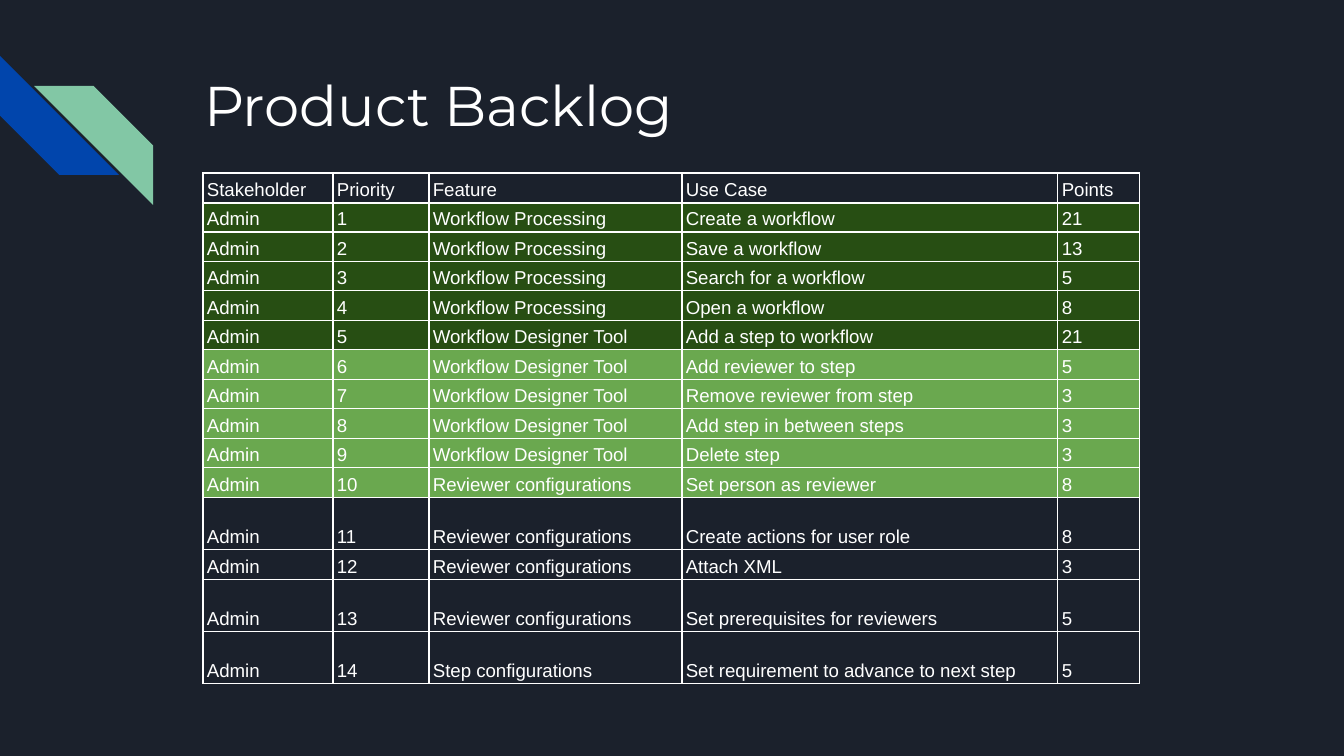
import pptx
import pptx.dml.color
import pptx.enum.shapes
import pptx.enum.text
import pptx.oxml
import pptx.oxml.ns
import pptx.util

PX = 914400 / 134.4

BACKGROUND, WHITE = "1B212C", "FFFFFF"
BLUE, MINT = "0145AC", "82C7A5"
DARK_GREEN, LIGHT_GREEN = "274E13", "6AA84F"

HEADINGS = ("Stakeholder", "Priority", "Feature", "Use Case", "Points")
PROCESSING = "Workflow Processing"
DESIGNER = "Workflow Designer Tool"
REVIEWER = "Reviewer configurations"
STEP = "Step configurations"

# Feature, use case, points, row fill; the order gives the priority.
BACKLOG = [
    (PROCESSING, "Create a workflow", 21, DARK_GREEN),
    (PROCESSING, "Save a workflow", 13, DARK_GREEN),
    (PROCESSING, "Search for a workflow", 5, DARK_GREEN),
    (PROCESSING, "Open a workflow", 8, DARK_GREEN),
    (DESIGNER, "Add a step to workflow", 21, DARK_GREEN),
    (DESIGNER, "Add reviewer to step", 5, LIGHT_GREEN),
    (DESIGNER, "Remove reviewer from step", 3, LIGHT_GREEN),
    (DESIGNER, "Add step in between steps", 3, LIGHT_GREEN),
    (DESIGNER, "Delete step", 3, LIGHT_GREEN),
    (REVIEWER, "Set person as reviewer", 8, LIGHT_GREEN),
    (REVIEWER, "Create actions for user role", 8, None),
    (REVIEWER, "Attach XML", 3, None),
    (REVIEWER, "Set prerequisites for reviewers", 5, None),
    (STEP, "Set requirement to advance to next step", 5, None),
]
COLUMN_WIDTHS = (130, 96, 253, 376, 82)
TALL_ROWS = (11, 13, 14)


def px(length):
    return pptx.util.Emu(round(length * PX))


def color(hex_string):
    return pptx.dml.color.RGBColor.from_string(hex_string)


class SlideBuilder:
    heading_font = "Montserrat"
    body_font = "Arial"

    def __init__(self, slide):
        self.slide = slide
        slide.background.fill.solid()
        slide.background.fill.fore_color.rgb = color(BACKGROUND)

    def style(self, paragraph, font_name, size):
        paragraph.alignment = pptx.enum.text.PP_ALIGN.LEFT
        paragraph.font.name = font_name
        paragraph.font.size = pptx.util.Pt(size)
        paragraph.font.color.rgb = color(WHITE)

    def stripe(self, left, top, size, fill, rotation):
        shape = self.slide.shapes.add_shape(
            pptx.enum.shapes.MSO_SHAPE.DIAGONAL_STRIPE,
            px(left), px(top), px(size), px(size))
        shape.rotation = rotation
        shape.shadow.inherit = False
        shape.fill.solid()
        shape.fill.fore_color.rgb = color(fill)
        shape.line.fill.background()

    def title(self, text, left, top, width, height):
        shape = self.slide.shapes.title
        shape.left, shape.top = px(left), px(top)
        shape.width, shape.height = px(width), px(height)
        frame = shape.text_frame
        frame.text = text
        frame.word_wrap = True
        frame.auto_size = pptx.enum.text.MSO_AUTO_SIZE.NONE
        frame.vertical_anchor = pptx.enum.text.MSO_ANCHOR.TOP
        frame.margin_left = frame.margin_right = px(13)
        frame.margin_top = frame.margin_bottom = px(13)
        self.style(frame.paragraphs[0], self.heading_font, 30)

    def table(self, left, top, column_widths, row_heights, rows, fills):
        frame = self.slide.shapes.add_table(
            len(rows), len(column_widths), px(left), px(top),
            px(sum(column_widths)), px(sum(row_heights)))
        table = frame.table
        table.first_row = table.horz_banding = False
        for column, width in zip(table.columns, column_widths):
            column.width = px(width)
        for row, height, values, fill in zip(table.rows, row_heights, rows, fills):
            row.height = px(height)
            for cell, value in zip(row.cells, values):
                self.cell(cell, str(value), fill)

    def cell(self, cell, text, fill):
        cell.text = text
        cell.vertical_anchor = pptx.enum.text.MSO_ANCHOR.BOTTOM
        cell.margin_left = cell.margin_right = px(4)
        cell.margin_top = cell.margin_bottom = px(2)
        paragraph = cell.text_frame.paragraphs[0]
        paragraph.line_spacing = 1.15
        self.style(paragraph, self.body_font, 10)
        self.borders(cell)
        if fill:
            cell.fill.solid()
            cell.fill.fore_color.rgb = color(fill)
        else:
            cell.fill.background()

    def borders(self, cell):
        """Outline the cell; must run before its fill is set."""
        properties = cell._tc.get_or_add_tcPr()
        for side in ("lnL", "lnR", "lnT", "lnB"):
            properties.append(pptx.oxml.parse_xml(
                f'<a:{side} {pptx.oxml.ns.nsdecls("a")} w="{pptx.util.Pt(0.75)}">'
                f'<a:solidFill><a:srgbClr val="{WHITE}"/></a:solidFill></a:{side}>'))


def main():
    presentation = pptx.Presentation()
    presentation.slide_width, presentation.slide_height = px(1344), px(756)
    title_only = presentation.slide_layouts[5]
    builder = SlideBuilder(presentation.slides.add_slide(title_only))

    builder.stripe(0, 56, 119, BLUE, 270)
    builder.stripe(34, 86, 119, MINT, 90)
    builder.title("Product Backlog", 191, 58, 1035, 83)

    rows = [HEADINGS]
    fills = [None]
    for priority, (feature, use_case, points, fill) in enumerate(BACKLOG, start=1):
        rows.append(("Admin", priority, feature, use_case, points))
        fills.append(fill)
    # Short rows alternate between 30 and 29 px to average 29.5.
    row_heights = [52 if index in TALL_ROWS else 30 - index % 2
                   for index in range(len(rows))]
    builder.table(203, 173, COLUMN_WIDTHS, row_heights, rows, fills)

    presentation.save("out.pptx")


if __name__ == "__main__":
    main()
